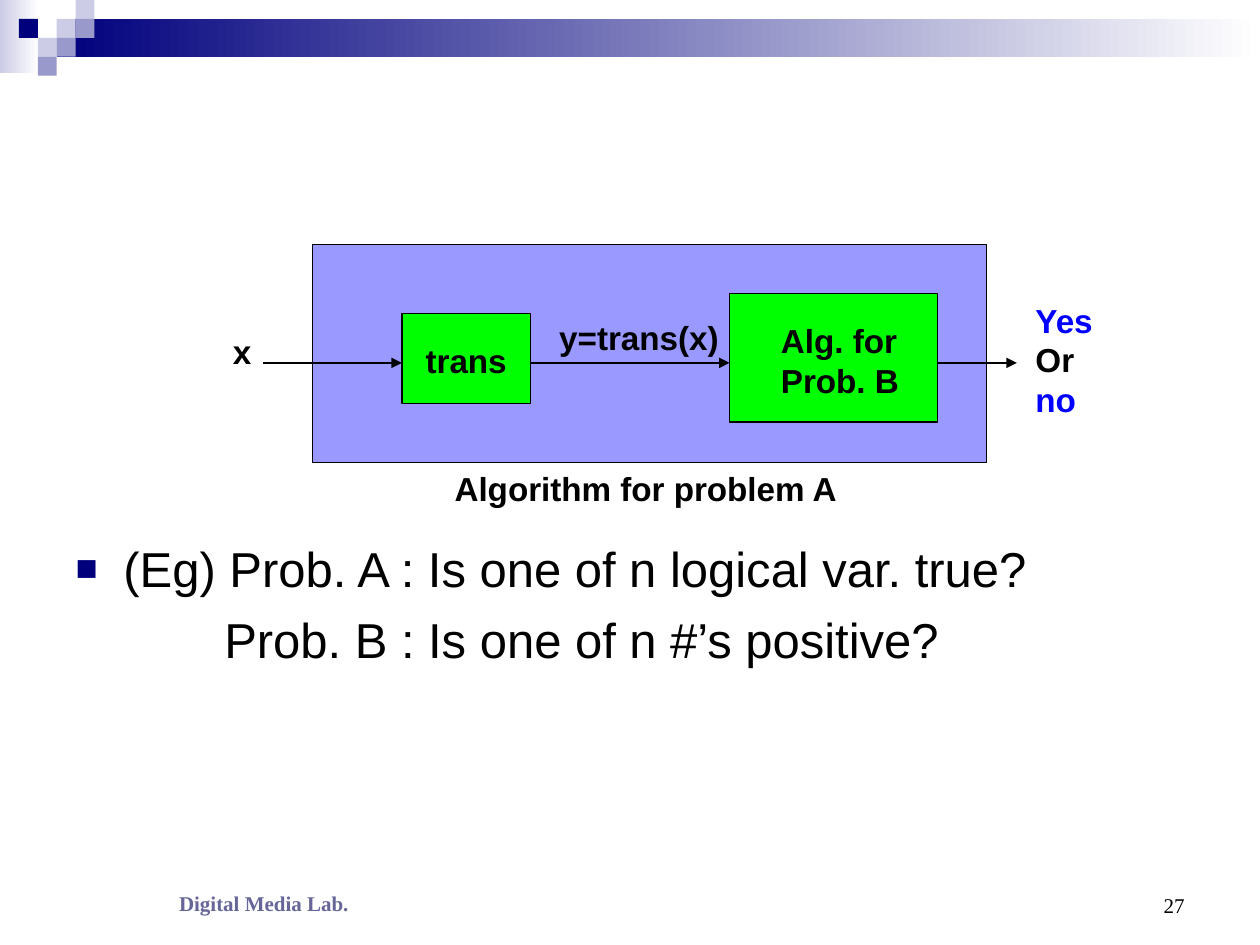
from dataclasses import dataclass

import lxml.etree
import pptx
import pptx.dml.color
import pptx.enum.shapes
import pptx.enum.text
import pptx.oxml.ns
import pptx.util

Inches = pptx.util.Inches
Align = pptx.enum.text.PP_ALIGN
Anchor = pptx.enum.text.MSO_ANCHOR
qn = pptx.oxml.ns.qn


@dataclass(frozen=True)
class Theme:
    black: str = "000000"
    white: str = "FFFFFF"
    navy: str = "00007D"
    mid: str = "9999CC"
    pale: str = "CCCCE6"
    outer: str = "9999FF"
    green: str = "00FF00"
    answer: str = "0000FF"
    footer: str = "666699"
    sans: str = "Arial"
    serif: str = "Times New Roman"
    body_size: float = 28
    label_size: float = 19
    footer_size: float = 12
    line_width: float = 0.75


THEME = Theme()


@dataclass(frozen=True)
class Box:
    left: float
    top: float
    width: float
    height: float
    fill: str
    fade_to: str = ""
    outlined: bool = False


@dataclass(frozen=True)
class Label:
    left: float
    top: float
    width: float
    height: float
    lines: tuple
    colors: tuple = (THEME.black,)


def rgb(value: str):
    return pptx.dml.color.RGBColor.from_string(value)


def draw_box(slide, box: Box) -> None:
    shape = slide.shapes.add_shape(
        pptx.enum.shapes.MSO_SHAPE.RECTANGLE, Inches(box.left), Inches(box.top),
        Inches(box.width), Inches(box.height))
    shape.shadow.inherit = False
    if box.fade_to:
        shape.fill.gradient()
        shape.fill.gradient_angle = 0
        for stop, position, color in zip(
                shape.fill.gradient_stops, (0, 1), (box.fill, box.fade_to)):
            stop.position = position
            stop.color.rgb = rgb(color)
    else:
        shape.fill.solid()
        shape.fill.fore_color.rgb = rgb(box.fill)
    if box.outlined:
        shape.line.color.rgb = rgb(THEME.black)
        shape.line.width = pptx.util.Pt(THEME.line_width)
    else:
        shape.line.fill.background()


def draw_arrow(slide, start: float, end: float, y: float) -> None:
    arrow = slide.shapes.add_connector(
        pptx.enum.shapes.MSO_CONNECTOR.STRAIGHT,
        Inches(start), Inches(y), Inches(end), Inches(y))
    arrow.line.color.rgb = rgb(THEME.black)
    arrow.line.width = pptx.util.Pt(THEME.line_width)
    outline = arrow.line._get_or_add_ln()
    lxml.etree.SubElement(outline, qn("a:tailEnd"), type="triangle")
    lxml.etree.SubElement(arrow._element.spPr, qn("a:effectLst"))


def write(paragraph, text: str, *, size: float, font: str = THEME.sans,
          color: str = THEME.black, bold: bool = False,
          align=Align.LEFT, before: float = 0) -> None:
    paragraph.alignment = align
    paragraph.space_before = pptx.util.Pt(before)
    run = paragraph.add_run()
    run.text = text
    run.font.size = pptx.util.Pt(size)
    run.font.name = font
    run.font.bold = bold
    run.font.color.rgb = rgb(color)


def add_frame(slide, left: float, top: float, width: float, height: float):
    frame = slide.shapes.add_textbox(
        Inches(left), Inches(top), Inches(width), Inches(height)).text_frame
    frame.word_wrap = True
    return frame


def draw_label(slide, label: Label) -> None:
    frame = add_frame(slide, label.left, label.top, label.width, label.height)
    # Room on the right keeps each line whole
    frame.margin_right = 0
    for index, line in enumerate(label.lines):
        paragraph = frame.add_paragraph() if index else frame.paragraphs[0]
        write(paragraph, line, size=THEME.label_size, bold=True,
              color=label.colors[index % len(label.colors)])


def draw_footer(slide, left: float, top: float, width: float, text: str,
                **style) -> None:
    frame = add_frame(slide, left, top, width, 0.5)
    frame.vertical_anchor = Anchor.BOTTOM
    write(frame.paragraphs[0], text, size=THEME.footer_size,
          font=THEME.serif, **style)


def set_indent(paragraph, margin: float, first: float, bullet: str = "") -> None:
    props = paragraph._p.get_or_add_pPr()
    props.set("marL", str(Inches(margin)))
    props.set("indent", str(Inches(first)))
    if not bullet:
        lxml.etree.SubElement(props, qn("a:buNone"))
        return
    color = lxml.etree.SubElement(props, qn("a:buClr"))
    lxml.etree.SubElement(color, qn("a:srgbClr"), val=THEME.navy)
    lxml.etree.SubElement(props, qn("a:buSzPct"), val="75000")
    lxml.etree.SubElement(props, qn("a:buFont"), typeface=THEME.sans)
    lxml.etree.SubElement(props, qn("a:buChar"), char=bullet)


def fill_body(body) -> None:
    body.left, body.top = Inches(0.5), Inches(4.22)
    body.width, body.height = Inches(7.81), Inches(2.19)
    frame = body.text_frame
    frame.auto_size = pptx.enum.text.MSO_AUTO_SIZE.NONE
    frame.vertical_anchor = Anchor.TOP
    problem_a = frame.paragraphs[0]
    set_indent(problem_a, 0.38, -0.38, "■")
    write(problem_a, "(Eg) Prob. A : Is one of n logical var. true?",
          size=THEME.body_size)
    problem_b = frame.add_paragraph()
    set_indent(problem_b, 1.18, 0)
    write(problem_b, "Prob. B : Is one of n #’s positive?",
          size=THEME.body_size, before=7)


def main() -> None:
    deck = pptx.Presentation()
    deck.slide_width, deck.slide_height = Inches(10), Inches(7.5)
    slide = deck.slides.add_slide(deck.slide_layouts[1])
    title = slide.shapes.title._element
    title.getparent().remove(title)

    # Header bands and the small squares, placed by column and row
    draw_box(slide, Box(0, 0, 0.31, 0.58, THEME.pale, THEME.white))
    draw_box(slide, Box(0.45, 0.15, 9.55, 0.3, THEME.navy, THEME.white))
    tile = 0.15
    for column, row, color in (
            (3, 1, THEME.pale), (4, 0, THEME.pale), (4, 1, THEME.mid),
            (2, 2, THEME.pale), (1, 1, THEME.navy), (3, 2, THEME.mid),
            (2, 3, THEME.mid)):
        draw_box(slide, Box(column * tile, row * tile, tile, tile, color))

    # Example problems
    fill_body(slide.placeholders[1])

    # Reduction diagram
    whole = Box(2.48, 1.94, 5.35, 1.73, THEME.outer, outlined=True)
    trans = Box(3.19, 2.49, 1.02, 0.71, THEME.green, outlined=True)
    solver = Box(5.79, 2.33, 1.65, 1.02, THEME.green, outlined=True)
    for box in (whole, trans, solver):
        draw_box(slide, box)
    for start, end in ((2.09, trans.left),
                       (trans.left + trans.width, solver.left),
                       (solver.left + solver.width, 8.07)):
        draw_arrow(slide, start, end, 2.88)
    for label in (
            Label(1.75, 2.58, 0.34, 0.42, ("x",)),
            Label(4.34, 2.47, 1.46, 0.42, ("y=trans(x)",)),
            Label(6.1, 2.49, 1.13, 0.74, ("Alg. for", "Prob. B")),
            Label(3.28, 2.65, 0.84, 0.42, ("trans",)),
            Label(8.12, 2.33, 0.67, 1.05, ("Yes", "Or", "no"),
                  (THEME.answer, THEME.black)),
            Label(3.51, 3.67, 3.24, 0.42, ("Algorithm for problem A",))):
        draw_label(slide, label)

    # Footer
    draw_footer(slide, 0.51, 6.82, 3.17, "Digital Media Lab.",
                color=THEME.footer, bold=True, align=Align.CENTER)
    draw_footer(slide, 7.17, 6.83, 2.33, "27", align=Align.RIGHT)

    deck.save("out.pptx")


if __name__ == "__main__":
    main()
